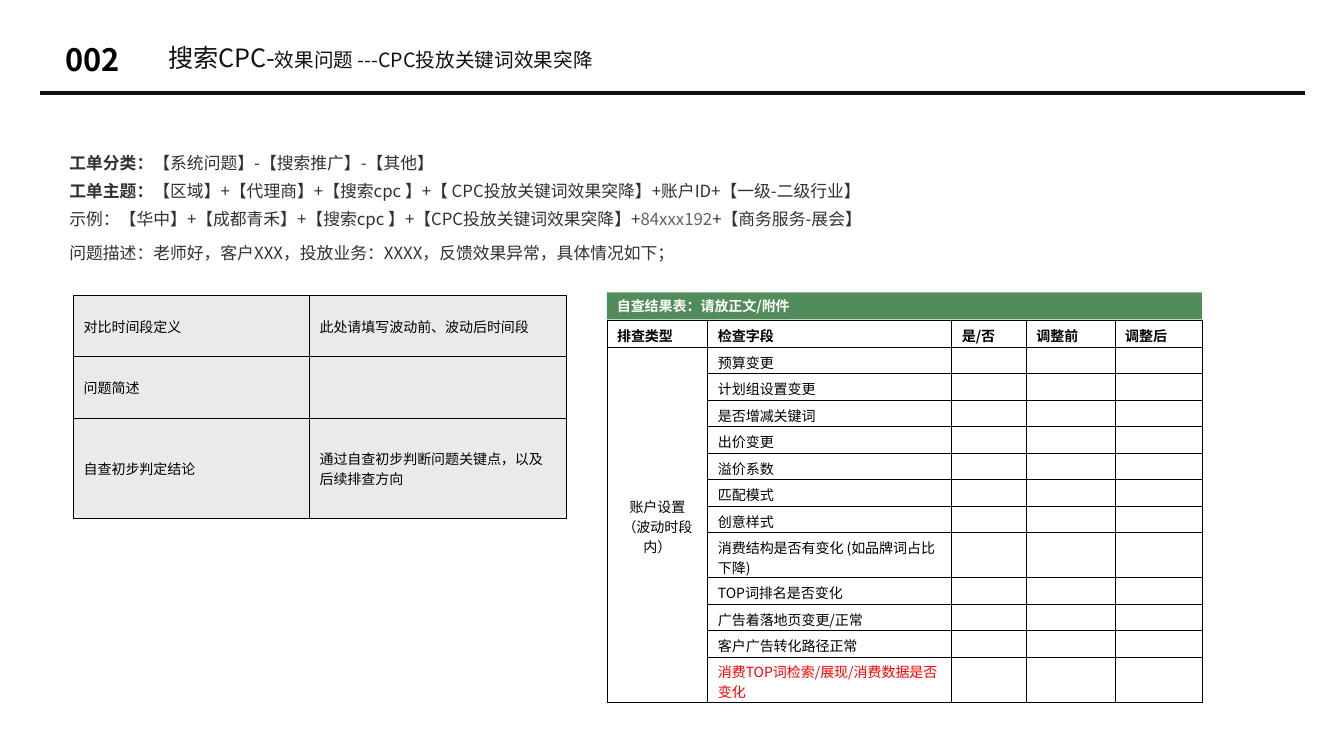
from dataclasses import dataclass

from lxml import etree
from pptx import Presentation
from pptx.dml.color import RGBColor
from pptx.enum.shapes import MSO_CONNECTOR, MSO_SHAPE
from pptx.enum.text import MSO_ANCHOR, PP_ALIGN
from pptx.oxml.ns import qn
from pptx.util import Inches, Pt

TOP, MIDDLE = MSO_ANCHOR.TOP, MSO_ANCHOR.MIDDLE
LEFT, CENTER = PP_ALIGN.LEFT, PP_ALIGN.CENTER
STRAIGHT, RECTANGLE = MSO_CONNECTOR.STRAIGHT, MSO_SHAPE.RECTANGLE

FONT = "Noto Sans CJK SC"
BLACK, WHITE, RED, GREEN = "000000", "FFFFFF", "FF0000", "538C5B"
INK, BODY, MUTED, PANEL = "101010", "313131", "606266", "EAEAEA"
GRID = 0.1  # side of a square grid cell, in inches
TABLE_SIZE = 10
INSETS = ("margin_left", "margin_top", "margin_right", "margin_bottom")
NORMAL_INSETS, TIGHT_INSETS = (1, 0.5, 1, 0.5), (1, 0.4, 1, 0)


@dataclass
class Span:
    text: str
    size: float = 12
    color: str = BODY
    bold: bool = False


@dataclass
class Line:
    spans: list[Span]
    spacing: float | Pt = 1.0


@dataclass
class Block:
    col: float
    row: float
    cols: float
    rows: float
    lines: list[Line]
    anchor: MSO_ANCHOR = TOP
    insets: tuple = NORMAL_INSETS
    fill: str | None = None


@dataclass
class Entry:
    text: str = ""
    color: str = BLACK
    bold: bool = False
    align: PP_ALIGN = LEFT
    fill: str | None = None


@dataclass
class Grid:
    col: float
    row: float
    col_widths: list[float]
    row_heights: list[float]
    entries: list[list[Entry]]
    insets: tuple = NORMAL_INSETS


def cells(count: float) -> int:
    return Inches(count * GRID)


def rgb(color: str) -> RGBColor:
    return RGBColor.from_string(color)


def set_insets(target, insets: tuple) -> None:
    for name, inset in zip(INSETS, insets):
        setattr(target, name, cells(inset))


def style_run(run, size: float, color: str, bold: bool) -> None:
    for name, value in {"size": Pt(size), "bold": bold, "name": FONT}.items():
        setattr(run.font, name, value)
    run.font.color.rgb = rgb(color)
    etree.SubElement(run.font._element, qn("a:ea"), typeface=FONT)


def draw_block(shapes, block: Block) -> None:
    place = [cells(n) for n in (block.col, block.row, block.cols, block.rows)]
    if block.fill:
        box = shapes.add_shape(RECTANGLE, *place)
        box.shadow.inherit = False
        box.fill.solid()
        box.fill.fore_color.rgb = rgb(block.fill)
        box.line.fill.background()
    else:
        box = shapes.add_textbox(*place)
    frame = box.text_frame
    frame.word_wrap = True
    frame.vertical_anchor = block.anchor
    set_insets(frame, block.insets)
    for index, line in enumerate(block.lines):
        paragraph = frame.add_paragraph() if index else frame.paragraphs[0]
        paragraph.alignment = LEFT
        paragraph.line_spacing = line.spacing
        for span in line.spans:
            run = paragraph.add_run()
            run.text = span.text
            style_run(run, span.size, span.color, span.bold)


def draw_border(cell) -> None:
    properties = cell._tc.get_or_add_tcPr()
    for side in ("a:lnL", "a:lnR", "a:lnT", "a:lnB"):
        edge = etree.SubElement(properties, qn(side), w=str(Pt(0.5)))
        paint = etree.SubElement(edge, qn("a:solidFill"))
        etree.SubElement(paint, qn("a:srgbClr"), val=BLACK)


def fill_cell(cell, entry: Entry, insets: tuple) -> None:
    draw_border(cell)
    set_insets(cell, insets)
    cell.vertical_anchor = MIDDLE
    if entry.fill:
        cell.fill.solid()
        cell.fill.fore_color.rgb = rgb(entry.fill)
    else:
        cell.fill.background()
    paragraph = cell.text_frame.paragraphs[0]
    paragraph.alignment = entry.align
    size = str(TABLE_SIZE * 100)
    if not entry.text:
        etree.SubElement(paragraph._p, qn("a:endParaRPr"), sz=size)
        return
    paragraph.text = entry.text
    for line_break in paragraph._p.findall(qn("a:br")):
        etree.SubElement(line_break, qn("a:rPr"), sz=size)
    for run in paragraph.runs:
        style_run(run, TABLE_SIZE, entry.color, entry.bold)


def draw_grid(shapes, grid: Grid):
    widths, heights = grid.col_widths, grid.row_heights
    table = shapes.add_table(len(heights), len(widths), cells(grid.col), cells(grid.row),
                             cells(sum(widths)), cells(sum(heights))).table
    for name in ("first_row", "horz_banding"):
        setattr(table, name, False)
    for column, width in zip(table.columns, widths):
        column.width = cells(width)
    for row, height in zip(table.rows, heights):
        row.height = cells(height)
    for r, entries in enumerate(grid.entries):
        for c, entry in enumerate(entries):
            fill_cell(table.cell(r, c), entry, grid.insets)
    return table


# Heading and work order text
ORDER_SPACING = Pt(20)
BLOCKS = [
    Block(16.7, 4.5, 71.2, 2.7, [Line([
        Span("搜索CPC-", 18, INK), Span("效果问题 ---CPC投放关键词效果突降", 14, INK)], 0.9)],
        MIDDLE, (0, 0, 0, 0)),
    Block(6.5, 4, 6.7, 3.7, [Line([Span("002", 22, BLACK, True)])], MIDDLE, (0, 0, 0, 0)),
    Block(5.9, 13.9, 121.4, 9.1, [
        Line([Span("工单分类：", bold=True),
              Span("【系统问题】-【搜索推广】-【其他】")], ORDER_SPACING),
        Line([Span("工单主题：", bold=True),
              Span("【区域】+【代理商】+【搜索cpc 】+【 CPC投放关键词效果突降】"
                   "+账户ID+【一级-二级行业】")], ORDER_SPACING),
        Line([Span("示例：【华中】+【成都青禾】+【搜索cpc 】+【CPC投放关键词效果突降】+"),
              Span("84xxx192", color=MUTED), Span("+【商务服务-展会】")], ORDER_SPACING)]),
    Block(5.9, 22.6, 68.3, 3.7, [Line([
        Span("问题描述：老师好，客户XXX，投放业务：XXXX，反馈效果异常，具体情况如下；")], 1.5)]),
    Block(60.2, 29, 59, 2.7, [Line([Span("自查结果表：请放正文/附件", 10, WHITE, True)])],
          fill=GREEN),
]

# Problem summary table
SUMMARY = [("对比时间段定义", "此处请填写波动前、波动后时间段"), ("问题简述", ""),
           ("自查初步判定结论", "通过自查初步判断问题关键点，以及后续排查方向")]
SUMMARY_GRID = Grid(7.3, 29.3, [23.4, 25.5], [6.1, 6.1, 9.9],
                    [[Entry(text, fill=PANEL) for text in pair] for pair in SUMMARY])

# Self-check table
HEADINGS = ["排查类型", "检查字段", "是/否", "调整前", "调整后"]
LONG_CHECK, KEY_CHECK = "消费结构是否有变化 (如品牌词占比下降)", "消费TOP词检索/展现/消费数据是否变化"
CHECKS = ["预算变更", "计划组设置变更", "是否增减关键词", "出价变更", "溢价系数", "匹配模式",
          "创意样式", LONG_CHECK, "TOP词排名是否变化", "广告着落地页变更/正常",
          "客户广告转化路径正常", KEY_CHECK]
ONE_LINE, TWO_LINES = 2.63, 4.47
check_rows = [[Entry(), Entry(check, RED if check == KEY_CHECK else BLACK)]
              + [Entry() for _ in HEADINGS[2:]] for check in CHECKS]
check_rows[0][0] = Entry("账户设置\v（波动时段内）", align=CENTER)
CHECK_GRID = Grid(
    60.2, 31.8, [10, 24.2, 7.4, 8.8, 8.7],
    [ONE_LINE] + [TWO_LINES if check in (LONG_CHECK, KEY_CHECK) else ONE_LINE for check in CHECKS],
    [[Entry(heading, bold=True, fill=WHITE) for heading in HEADINGS]] + check_rows, TIGHT_INSETS)


def main() -> None:
    deck = Presentation()
    deck.slide_width, deck.slide_height = Inches(13.33), Inches(7.5)
    shapes = deck.slides.add_slide(deck.slide_layouts[6]).shapes

    # Rule under the heading
    rule = shapes.add_connector(STRAIGHT, cells(4), cells(9.2), cells(129.4), cells(9.2))
    rule.line.color.rgb = rgb(INK)
    rule.line.width = Pt(3)
    etree.SubElement(rule._element.spPr, qn("a:effectLst"))

    for block in BLOCKS:
        draw_block(shapes, block)
    draw_grid(shapes, SUMMARY_GRID)
    checks = draw_grid(shapes, CHECK_GRID)
    checks.cell(1, 0).merge(checks.cell(len(CHECKS), 0))
    deck.save("out.pptx")


if __name__ == "__main__":
    main()
